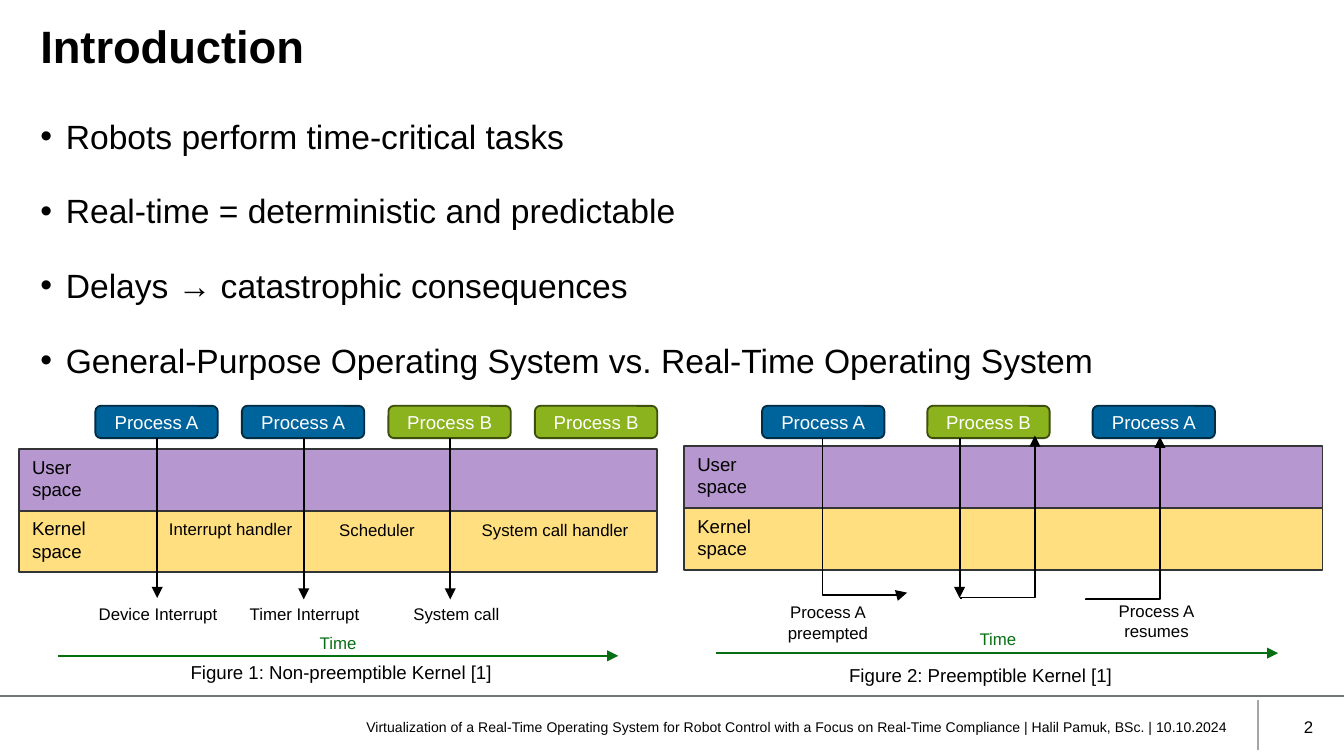
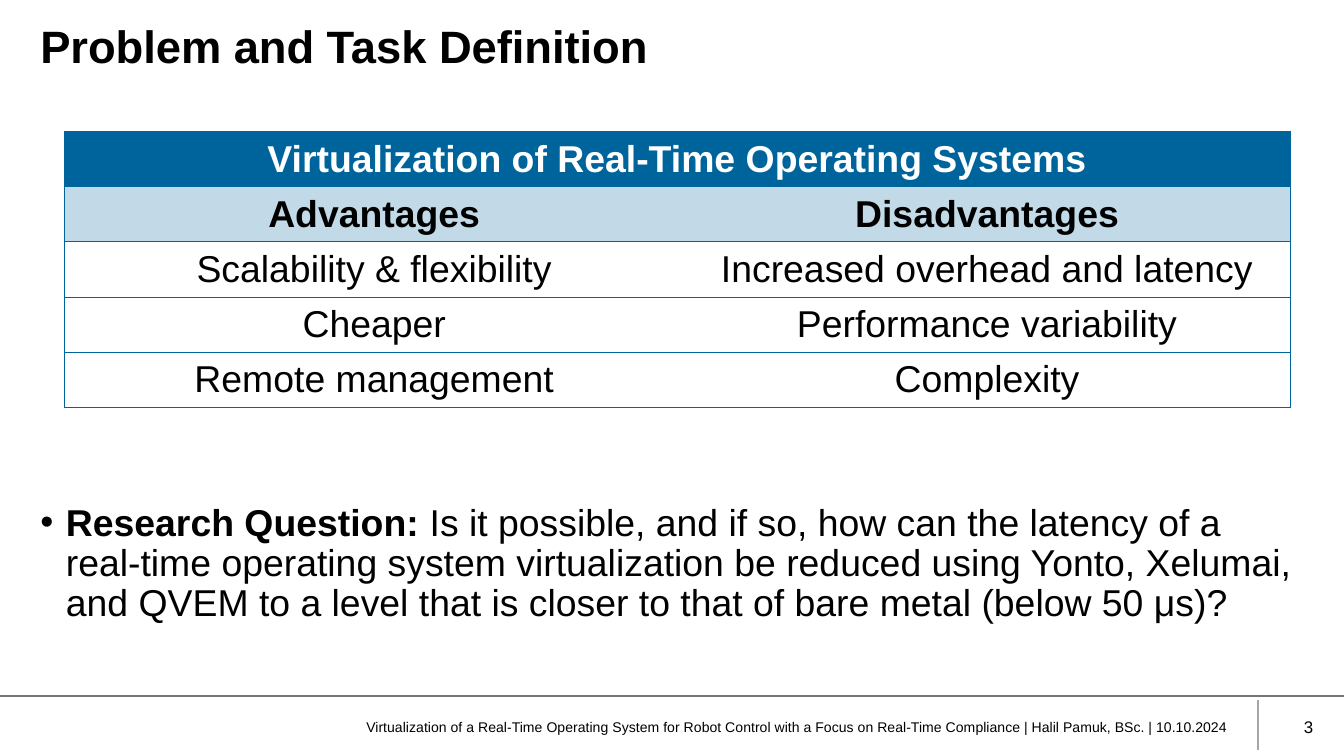
from lxml import etree
from pptx import Presentation
from pptx.dml.color import RGBColor
from pptx.enum import shapes, text
from pptx.oxml import ns
from pptx.util import Inches, Pt

FONT = "Arial"
BLACK, WHITE, GREEN = "000000", "FFFFFF", "076F13"
BLUE, PALE_BLUE = "00649C", "C2DAE7"
SPACE_LINE = "323435"
PROCESSES = {"A": (BLUE, "002C44"), "B": ("8BB31D", "3D4E0D")}
LEFT, CENTER, RIGHT = text.PP_ALIGN.LEFT, text.PP_ALIGN.CENTER, text.PP_ALIGN.RIGHT
TOP, MIDDLE = text.MSO_ANCHOR.TOP, text.MSO_ANCHOR.MIDDLE

FOOTER = (
    "Virtualization of a Real-Time Operating System for Robot Control with a Focus "
    "on Real-Time Compliance | Halil Pamuk, BSc. | 10.10.2024"
)
FRAME_LINES = [((9.36, 5.21), (9.36, 5.58), "A6A6A6"), ((0, 5.18), (10, 5.18), "72777A")]

INTRODUCTION = [
    "Robots perform time-critical tasks",
    "Real-time = deterministic and predictable",
    "Delays → catastrophic consequences",
    "General-Purpose Operating System vs. Real-Time Operating System",
]
RESEARCH_QUESTION = [
    [
        ("Research Question: ", True),
        (
            "Is it possible, and if so, how can the latency of a real-time operating "
            "system virtualization be reduced using Yonto, Xelumai, and QVEM to a level "
            "that is closer to that of bare metal (below 50 μs)?",
            False,
        ),
    ]
]
COMPARISON = [
    ("Virtualization of Real-Time Operating Systems", ""),
    ("Advantages", "Disadvantages"),
    ("Scalability & flexibility", "Increased overhead and latency"),
    ("Cheaper", "Performance variability"),
    ("Remote management", "Complexity"),
]
COLUMN_WIDTHS = (4.61, 4.51)
ROW_STYLES = [(BLUE, WHITE, True), (PALE_BLUE, BLACK, True)] + [(None, BLACK, False)] * 3

FIGURES = [
    {
        "left": 0.14,
        "top": 3.34,
        "processes": "AABB",
        "first": 0.71,
        "step": 1.09,
        "arrows": [(1.17, 4.45), (2.26, 4.46), (3.35, 4.46)],
        "elbows": [],
        "labels": [
            (["Interrupt handler"], (1.17, 3.81, 1.09, 0.24)),
            (["Scheduler"], (2.26, 3.82, 1.09, 0.24)),
            (["System call handler"], (3.35, 3.82, 1.56, 0.24)),
            (["Device Interrupt"], (0.63, 4.44, 1.09, 0.24)),
            (["Timer Interrupt"], (1.72, 4.44, 1.09, 0.24)),
            (["System call"], (2.85, 4.44, 1.09, 0.24)),
        ],
        "caption": ("Figure 1: Non-preemptible Kernel [1]", (1.32, 4.87, 2.6, 0.3)),
        "time_axis": (0.43, 4.6, 4.88),
        "time_label": (1.97, 4.66, 1.09, 0.24),
    },
    {
        "left": 5.09,
        "top": 3.32,
        "processes": "ABA",
        "first": 5.67,
        "step": 1.23,
        "arrows": [(7.14, 4.45)],
        "elbows": [
            ((7.01, 3.52), (5.86, 4.15), 270, 1.015),
            ((8.03, 4.12), (6.82, 3.57), 90, 0.003),
            ((8.96, 4.13), (7.75, 3.58), 90, 0.003),
        ],
        "labels": [
            (["Process A", "preempted"], (5.8, 4.43, 0.72, 0.41)),
            (["Process A", "resumes"], (8.26, 4.42, 0.69, 0.42)),
        ],
        "caption": ("Figure 2: Preemptible Kernel [1]", (6.22, 4.89, 2.4, 0.3)),
        "time_axis": (5.33, 9.51, 4.86),
        "time_label": (6.88, 4.63, 1.09, 0.24),
    },
]
SPACES = [("User", "7030A0"), ("Kernel", "FFC000")]
SPACE_WIDTH, SPACE_HEIGHT = 4.75, 0.46


def rgb(value):
    return RGBColor.from_string(value)


def apply(target, values):
    for name, value in values.items():
        setattr(target, name, value)


def place(box, at):
    apply(box, dict(zip(("left", "top", "width", "height"), map(Inches, at))))


def write(frame, lines, size, color=BLACK, bold=False, anchor=TOP, inset=0.1, **layout):
    apply(frame, {
        "word_wrap": True,
        "auto_size": text.MSO_AUTO_SIZE.NONE,
        "vertical_anchor": anchor,
        "margin_left": Inches(inset),
        "margin_right": Inches(inset),
    })
    for index, line in enumerate(lines):
        para = frame.paragraphs[0] if index == 0 else frame.add_paragraph()
        apply(para, layout)
        for words, strong in [(line, bold)] if isinstance(line, str) else line:
            span = para.add_run()
            span.text = words
            apply(span.font, {"name": FONT, "size": Pt(size), "bold": strong})
            span.font.color.rgb = rgb(color)


def add_label(shape_tree, lines, at, size, **options):
    box = shape_tree.add_textbox(*map(Inches, at))
    write(box.text_frame, lines, size, **options)


def add_box(page, preset, at, fill, line):
    box = page.shapes.add_shape(preset, *map(Inches, at))
    box.shadow.inherit = False
    box.fill.solid()
    box.fill.fore_color.rgb = rgb(fill)
    box.line.color.rgb = rgb(line)
    box.line.width = Pt(1)
    return box


def add_line(shape_tree, start, end, color=BLACK, arrow=False, kind=shapes.MSO_CONNECTOR.STRAIGHT):
    line = shape_tree.add_connector(kind, *map(Inches, (*start, *end)))
    line.line.color.rgb = rgb(color)
    line.line.width = Pt(1)
    if arrow:
        etree.SubElement(line.line._get_or_add_ln(), ns.qn("a:tailEnd"), type="triangle")
    etree.SubElement(line._element.spPr, ns.qn("a:effectLst"))
    return line


def add_elbow(page, start, end, rotation, bend):
    line = add_line(page.shapes, start, end, arrow=True, kind=shapes.MSO_CONNECTOR.ELBOW)
    properties = line._element.spPr
    properties.find(ns.qn("a:xfrm")).set("rot", str(rotation * 60000))
    geometry = properties.find(ns.qn("a:prstGeom"))
    guides = geometry.find(ns.qn("a:avLst"))
    if guides is None:
        guides = etree.SubElement(geometry, ns.qn("a:avLst"))
    etree.SubElement(guides, ns.qn("a:gd"), name="adj1", fmla=f"val {round(bend * 100000)}")


def add_page(deck, number, title, body, body_at, size, spacing):
    page = deck.slides.add_slide(deck.slide_layouts[1])
    for start, end, color in FRAME_LINES:
        add_line(page.shapes, start, end, color)
    heading, content = page.shapes.title, page.placeholders[1]
    place(heading, (0.2, 0.13, 9.6, 0.48))
    write(heading.text_frame, [title], 24.3, bold=True, alignment=LEFT, line_spacing=0.9)
    place(content, body_at)
    write(content.text_frame, body, size, line_spacing=spacing,
          space_before=Pt(3.8), space_after=Pt(3.8))
    for para in content.text_frame.paragraphs:
        properties = para._p.get_or_add_pPr()
        properties.set("marL", str(Inches(0.19)))
        properties.set("indent", str(-Inches(0.19)))
    for words, at, points in [(FOOTER, (2.6, 5.26, 6.63, 0.3), 7.5),
                              (str(number), (9.34, 5.26, 0.53, 0.3), 9)]:
        add_label(page.shapes, [words], at, points, anchor=MIDDLE, alignment=RIGHT)
    return page


def add_figure(page, figure):
    left, top = figure["left"], figure["top"]
    for row, (name, color) in enumerate(SPACES):
        at = (left, top + row * SPACE_HEIGHT, SPACE_WIDTH, SPACE_HEIGHT)
        band = add_box(page, shapes.MSO_SHAPE.RECTANGLE, at, color, SPACE_LINE)
        tint = band._element.spPr.find(ns.qn("a:solidFill"))[0]
        etree.SubElement(tint, ns.qn("a:alpha"), val="50000")
        add_label(page.shapes, [name, "space"], (left, at[1], 1.03, 0.45), 10)
    for index, name in enumerate(figure["processes"]):
        at = (figure["first"] + index * figure["step"], 3.02, 0.91, 0.24)
        box = add_box(page, shapes.MSO_SHAPE.ROUNDED_RECTANGLE, at, *PROCESSES[name])
        write(box.text_frame, [f"Process {name}"], 10, WHITE,
              anchor=MIDDLE, inset=0, alignment=CENTER)
    for x, bottom in figure["arrows"]:
        add_line(page.shapes, (x, 3.26), (x, bottom), arrow=True)
    for elbow in figure["elbows"]:
        add_elbow(page, *elbow)
    for lines, at in figure["labels"]:
        add_label(page.shapes, lines, at, 9, inset=0, alignment=CENTER)
    group = page.shapes.add_group_shape().shapes
    caption, at = figure["caption"]
    add_label(group, [caption], at, 10)
    start, end, y = figure["time_axis"]
    add_line(group, (start, y), (end, y), GREEN, arrow=True)
    add_label(group, ["Time"], figure["time_label"], 9, color=GREEN, alignment=CENTER)


def set_borders(cell, sides):
    properties = cell._tc.get_or_add_tcPr()
    for side in "LRTB":
        edge = etree.SubElement(properties, ns.qn(f"a:ln{side}"), w=str(Pt(0.5)))
        if side in sides:
            fill = etree.SubElement(edge, ns.qn("a:solidFill"))
            etree.SubElement(fill, ns.qn("a:srgbClr"), val=BLUE)
        else:
            etree.SubElement(edge, ns.qn("a:noFill"))


def add_comparison(page):
    at = map(Inches, (0.48, 0.98, sum(COLUMN_WIDTHS), 0.41 * len(COMPARISON)))
    table = page.shapes.add_table(len(COMPARISON), len(COLUMN_WIDTHS), *at).table
    apply(table, {"first_row": False, "horz_banding": False})
    for column, width in zip(table.columns, COLUMN_WIDTHS):
        column.width = Inches(width)
    table.cell(0, 0).merge(table.cell(0, 1))
    for row, (entries, (fill, color, bold)) in enumerate(zip(COMPARISON, ROW_STYLES)):
        for column, words in enumerate(entries):
            cell = table.cell(row, column)
            merged = table.cell(row, 0).is_merge_origin
            set_borders(cell, "LRTB" if merged else "LTB" if column == 0 else "RTB")
            if fill:
                cell.fill.solid()
                cell.fill.fore_color.rgb = rgb(fill)
            else:
                cell.fill.background()
            apply(cell, {"vertical_anchor": MIDDLE,
                         "margin_top": Inches(0.04), "margin_bottom": Inches(0.04)})
            if words:
                para = cell.text_frame.paragraphs[0]
                para.alignment = CENTER
                span = para.add_run()
                span.text = words
                apply(span.font, {"name": FONT, "size": Pt(20), "bold": bold})
                span.font.color.rgb = rgb(color)


def main():
    deck = Presentation()
    width = Inches(10)
    apply(deck, {"slide_width": width, "slide_height": width * 9 // 16})
    page = add_page(deck, 2, "Introduction", INTRODUCTION, (0.2, 0.66, 9.6, 2.15), 18, 1.5)
    for figure in FIGURES:
        add_figure(page, figure)
    page = add_page(deck, 3, "Problem and Task Definition", RESEARCH_QUESTION,
                    (0.2, 3.7, 9.6, 1.36), 20, 0.9)
    add_comparison(page)
    deck.save("out.pptx")


if __name__ == "__main__":
    main()
